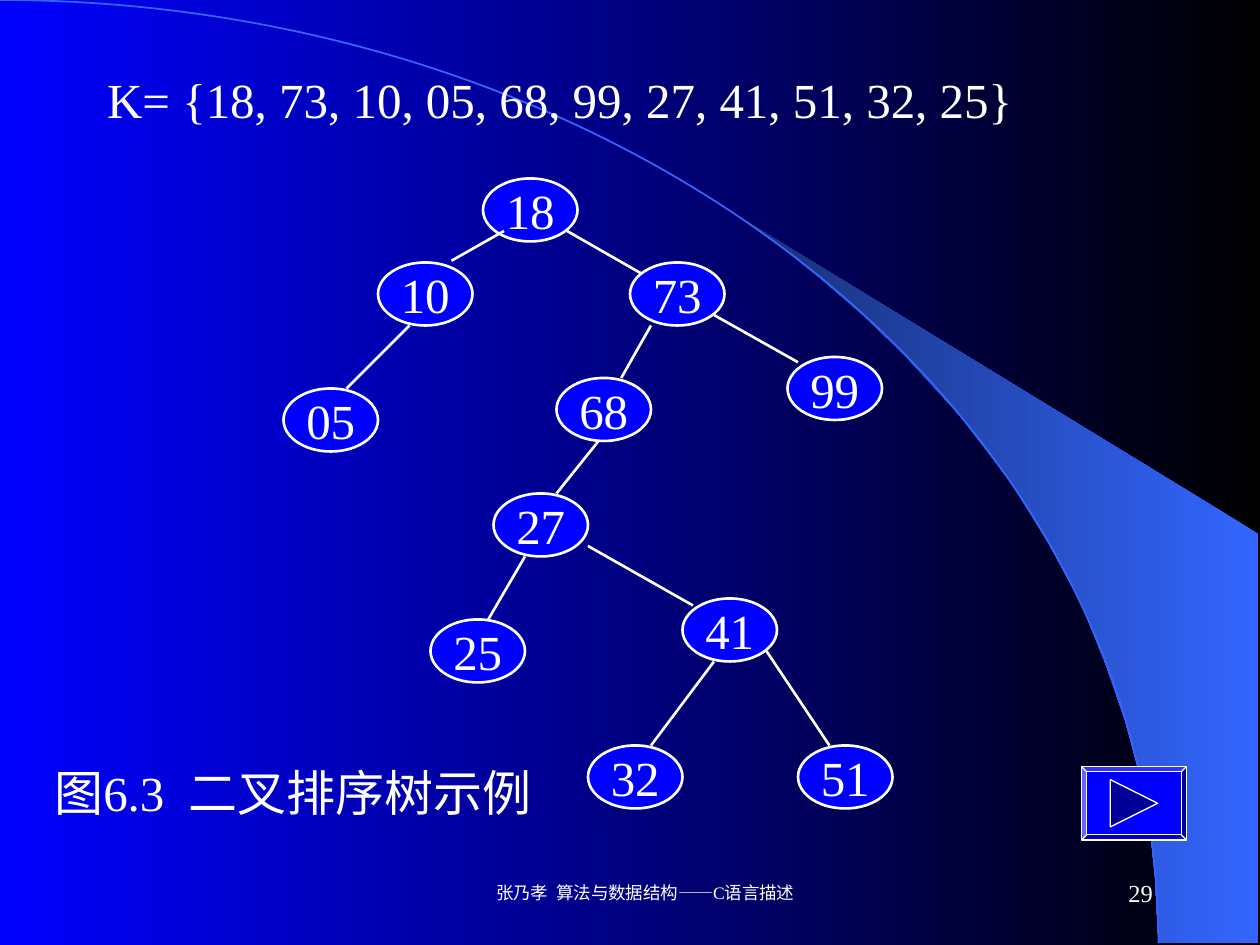
"""Build a slide with a binary search tree for the key sequence K."""
from lxml import etree
from pptx import Presentation
from pptx.dml.color import RGBColor
from pptx.enum.shapes import MSO_CONNECTOR, MSO_SHAPE
from pptx.enum.text import MSO_ANCHOR, MSO_AUTO_SIZE, PP_ALIGN
from pptx.oxml.ns import qn
from pptx.util import Pt

STRAIGHT = MSO_CONNECTOR.STRAIGHT
ARC, BEVEL, ELLIPSE = MSO_SHAPE.ARC, MSO_SHAPE.BEVEL, MSO_SHAPE.OVAL
TRIANGLE = MSO_SHAPE.ISOSCELES_TRIANGLE
TOP, MIDDLE = MSO_ANCHOR.TOP, MSO_ANCHOR.MIDDLE
LEFT, CENTER, RIGHT = PP_ALIGN.LEFT, PP_ALIGN.CENTER, PP_ALIGN.RIGHT
NO_AUTOFIT = MSO_AUTO_SIZE.NONE

BLACK = RGBColor(0x00, 0x00, 0x00)
WHITE = RGBColor(0xFF, 0xFF, 0xFF)
BLUE = RGBColor(0x00, 0x00, 0xFF)
DARK_BLUE = RGBColor(0x00, 0x00, 0x99)
SKY = RGBColor(0x33, 0x66, 0xFF)
NAVY = RGBColor(0x17, 0x2F, 0x75)
FONT = "Times New Roman"

NODE_WIDTH, NODE_HEIGHT = 54, 36
NODES = {
    "18": (276, 102), "10": (216, 150), "73": (360, 150), "99": (450, 204),
    "68": (318, 216), "27": (282, 282), "25": (246, 354), "41": (390, 342),
    "32": (336, 426), "51": (456, 426), "05": (162, 222),
}
BRANCHES = [
    (288, 132, 258, 149), (234, 186, 198, 222), (372, 186, 355, 216),
    (342, 252, 318, 282), (300, 318, 279, 354), (324, 132, 366, 156),
    (408, 180, 456, 207), (336, 312, 396, 346), (408, 378, 372, 426),
    (438, 372, 474, 426),
]
BAND = [
    (662, 539), (719, 539), (719, 305), (424, 125), (449, 143), (470, 160),
    (493, 180), (516, 202), (549, 238), (578, 276), (599, 310), (618, 345),
    (632, 380), (643, 412), (650, 438), (657, 472), (660, 501),
]


def write(frame, text, size, align, anchor, wrap=True):
    frame.text = text
    frame.auto_size = NO_AUTOFIT
    frame.word_wrap = wrap
    frame.vertical_anchor = anchor
    paragraph = frame.paragraphs[0]
    paragraph.alignment = align
    font = paragraph.runs[0].font
    font.name, font.size, font.color.rgb = FONT, Pt(size), WHITE


def set_gradient(fill, start, end):
    fill.gradient()
    fill.gradient_angle = 180
    for stop, color in zip(fill.gradient_stops, (start, end)):
        stop.color.rgb = color


prs = Presentation()
prs.slide_width, prs.slide_height = Pt(720), Pt(540)
slide = prs.slides.add_slide(prs.slide_layouts[5])
shapes = slide.shapes
set_gradient(slide.background.fill, BLACK, BLUE)

outline = shapes.build_freeform(*BAND[0], scale=Pt(1))
outline.add_line_segments(BAND[1:], close=True)
band = outline.convert_to_shape()
band.shadow.inherit = False
set_gradient(band.fill, SKY, NAVY)
band.line.fill.background()

curve = shapes.add_shape(ARC, Pt(-662), Pt(0), Pt(1324), Pt(1078))
curve.shadow.inherit = False
curve.fill.background()
curve.line.color.rgb, curve.line.width = SKY, Pt(1)

keys = shapes.title
keys.left, keys.top, keys.width, keys.height = Pt(54), Pt(36), Pt(624), Pt(41)
write(keys.text_frame, "K= {18, 73, 10, 05, 68, 99, 27, 41, 51, 32, 25}",
      28, LEFT, TOP)
keys.element.getparent().append(keys.element)

for key, (x, y) in NODES.items():
    node = shapes.add_shape(ELLIPSE, Pt(x), Pt(y), Pt(NODE_WIDTH), Pt(NODE_HEIGHT))
    node.shadow.inherit = False
    node.fill.solid()
    node.fill.fore_color.rgb = BLUE
    node.line.color.rgb, node.line.width = WHITE, Pt(1.5)
    write(node.text_frame, key, 28, CENTER, MIDDLE, wrap=False)

for ends in BRANCHES:
    branch = shapes.add_connector(STRAIGHT, *map(Pt, ends))
    branch.line.color.rgb, branch.line.width = WHITE, Pt(1.5)
    etree.SubElement(branch.element.spPr, qn("a:effectLst"))

caption = shapes.add_textbox(Pt(24), Pt(432), Pt(294), Pt(75))
write(caption.text_frame, "图6.3  二叉排序树示例", 28, LEFT, TOP)

button = shapes.add_shape(BEVEL, Pt(618), Pt(438), Pt(60), Pt(42))
button.adjustments[0] = 0.07
arrow = shapes.add_shape(TRIANGLE, Pt(634.5), Pt(445.5), Pt(27), Pt(27))
arrow.rotation = 90
for part, color in ((button, BLUE), (arrow, DARK_BLUE)):
    part.shadow.inherit = False
    part.fill.solid()
    part.fill.fore_color.rgb = color
    part.line.color.rgb, part.line.width = WHITE, Pt(0.75)

footer = shapes.add_textbox(Pt(246), Pt(492), Pt(228), Pt(36))
write(footer.text_frame, "张乃孝  算法与数据结构——C语言描述", 10, CENTER, MIDDLE)
footer.text_frame.margin_left = Pt(24.5)

page_number = shapes.add_textbox(Pt(516), Pt(492), Pt(150), Pt(36))
write(page_number.text_frame, "29", 14, RIGHT, MIDDLE)

prs.save("out.pptx")
